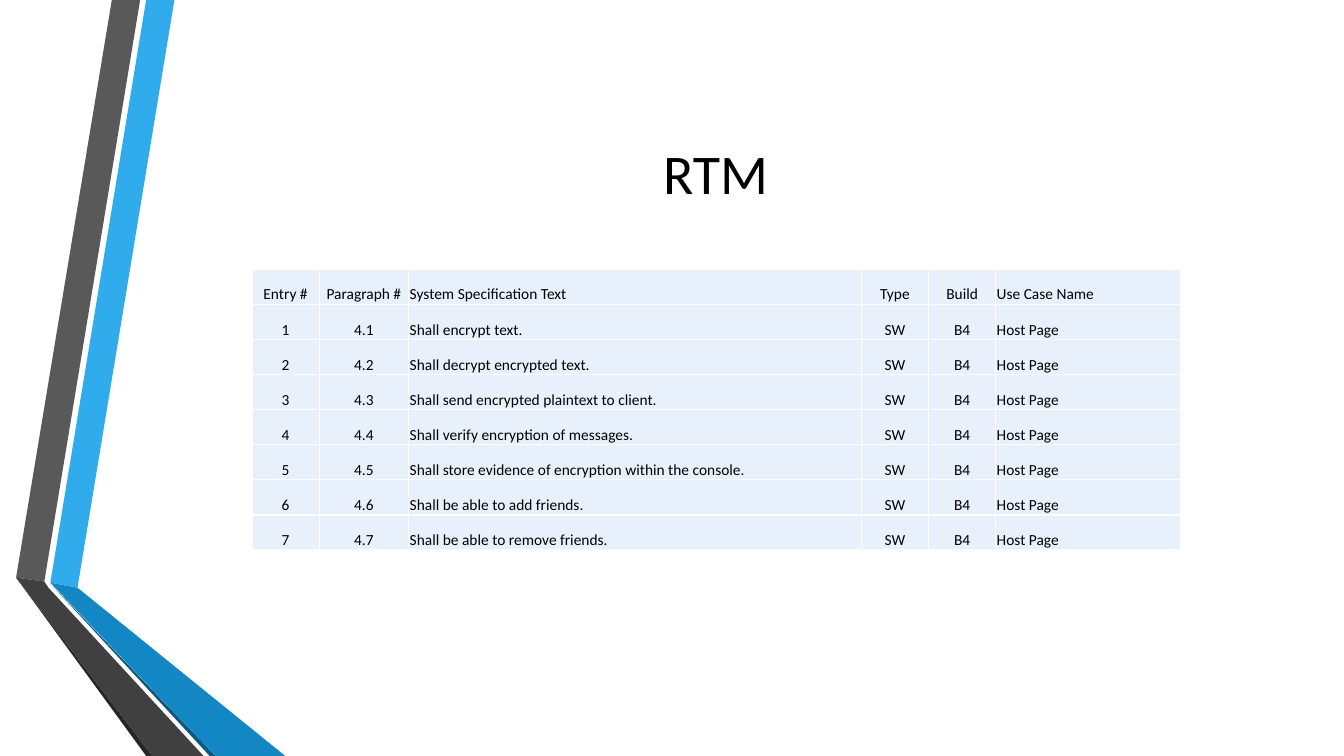
from dataclasses import dataclass
from typing import Any

from lxml import etree
from pptx import Presentation
from pptx import util as u
from pptx.dml.color import RGBColor
from pptx.enum import text
from pptx.oxml import ns

FONT = "Calibri"
BLACK = "000000"
WHITE = "FFFFFF"
PALE_BLUE = "E8F1FB"
ROW_HEIGHT = 25.1


@dataclass(frozen=True)
class Ribbon:
    color: str
    points: tuple[tuple[float, float], ...]


@dataclass(frozen=True)
class Column:
    heading: str
    width: float
    align: Any


CENTER = text.PP_ALIGN.CENTER
LEFT = text.PP_ALIGN.LEFT

RIBBONS = (
    Ribbon("30ACEC", ((36, 416.2), (55.4, 419.8), (124.6, 0), (104.4, 0))),
    Ribbon("595959", ((100.1, 0), (79.9, 0), (11.5, 412.6), (31.7, 415.4))),
    Ribbon("262626", ((11.5, 412.6), (104.4, 540), (108.7, 540))),
    Ribbon("0C5A82", ((36, 416.9), (149.8, 540), (154.1, 540))),
    Ribbon("1287C3", ((36, 416.2), (154.1, 540), (203.8, 540), (55.4, 419.8))),
    Ribbon("404040", ((145.4, 540), (34.6, 419.8), (31.7, 415.4), (11.5, 412.6), (108.7, 540))),
)

COLUMNS = (
    Column("Entry #", 48, CENTER),
    Column("Paragraph #", 64, CENTER),
    Column("System Specification Text", 323.3, LEFT),
    Column("Type", 48, CENTER),
    Column("Build", 48, CENTER),
    Column("Use Case Name", 131.8, LEFT),
)

REQUIREMENTS = (
    "Shall encrypt text.",
    "Shall decrypt encrypted text.",
    "Shall send encrypted plaintext to client.",
    "Shall verify encryption of messages.",
    "Shall store evidence of encryption within the console.",
    "Shall be able to add friends.",
    "Shall be able to remove friends.",
)


def rgb(color: str) -> RGBColor:
    return RGBColor.from_string(color)


def set_attrs(target: Any, values: dict[str, Any]) -> None:
    for name, value in values.items():
        setattr(target, name, value)


def write(tf: Any, content: str, size: float, align: Any) -> None:
    p = tf.paragraphs[0]
    p.alignment = align
    r = p.add_run()
    r.text = content
    set_attrs(r.font, {"name": FONT, "size": u.Pt(size), "bold": False})
    r.font.color.rgb = rgb(BLACK)


def draw_ribbon(s: Any, ribbon: Ribbon) -> None:
    start, *rest = [(u.Pt(x), u.Pt(y)) for x, y in ribbon.points]
    builder = s.shapes.build_freeform(*start)
    builder.add_line_segments(rest, close=True)
    sp = builder.convert_to_shape()
    sp.shadow.inherit = False
    sp.fill.solid()
    sp.fill.fore_color.rgb = rgb(ribbon.color)
    sp.line.fill.background()


def draw_title(s: Any) -> None:
    title = s.shapes.title
    set_attrs(title, {"left": u.Pt(116.6), "top": u.Pt(54), "width": u.Pt(789.1), "height": u.Pt(138.2)})
    tf = title.text_frame
    set_attrs(tf, {"vertical_anchor": text.MSO_ANCHOR.MIDDLE, "word_wrap": True})
    write(tf, "RTM", 40, CENTER)


def add_borders(cell: Any, color: str, width: float) -> None:
    props = cell._tc.get_or_add_tcPr()
    for i, side in enumerate(("a:lnL", "a:lnR", "a:lnT", "a:lnB")):
        line = etree.Element(ns.qn(side), w=str(u.Pt(width)))
        fill = etree.SubElement(line, ns.qn("a:solidFill"))
        etree.SubElement(fill, ns.qn("a:srgbClr"), val=color)
        props.insert(i, line)


def format_cell(cell: Any, content: str, align: Any) -> None:
    set_attrs(cell, {
        "margin_left": u.Pt(0.7),
        "margin_right": u.Pt(0.7),
        "margin_top": u.Pt(0.7),
        "margin_bottom": u.Pt(0),
        "vertical_anchor": text.MSO_ANCHOR.BOTTOM,
    })
    cell.fill.solid()
    cell.fill.fore_color.rgb = rgb(PALE_BLUE)
    add_borders(cell, WHITE, 1)
    write(cell.text_frame, content, 11, align)


def draw_table(s: Any) -> None:
    rows = [[column.heading for column in COLUMNS]]
    rows += [[str(n), f"4.{n}", requirement, "SW", "B4", "Host Page"]
             for n, requirement in enumerate(REQUIREMENTS, 1)]
    width = sum(column.width for column in COLUMNS)
    table = s.shapes.add_table(len(rows), len(COLUMNS), u.Pt(180), u.Pt(192.2),
                               u.Pt(width), u.Pt(ROW_HEIGHT * len(rows))).table
    set_attrs(table, {"first_row": False, "horz_banding": False})
    for i, column in enumerate(COLUMNS):
        table.columns[i].width = u.Pt(column.width)
    for i, row in enumerate(rows):
        table.rows[i].height = u.Pt(ROW_HEIGHT)
        for j, (column, content) in enumerate(zip(COLUMNS, row)):
            format_cell(table.cell(i, j), content, column.align)


def main() -> None:
    prs = Presentation()
    set_attrs(prs, {"slide_width": u.Pt(960), "slide_height": u.Pt(540)})
    s = prs.slides.add_slide(prs.slide_layouts[5])
    for ribbon in RIBBONS:
        draw_ribbon(s, ribbon)
    draw_title(s)
    draw_table(s)
    prs.save("out.pptx")


if __name__ == "__main__":
    main()
